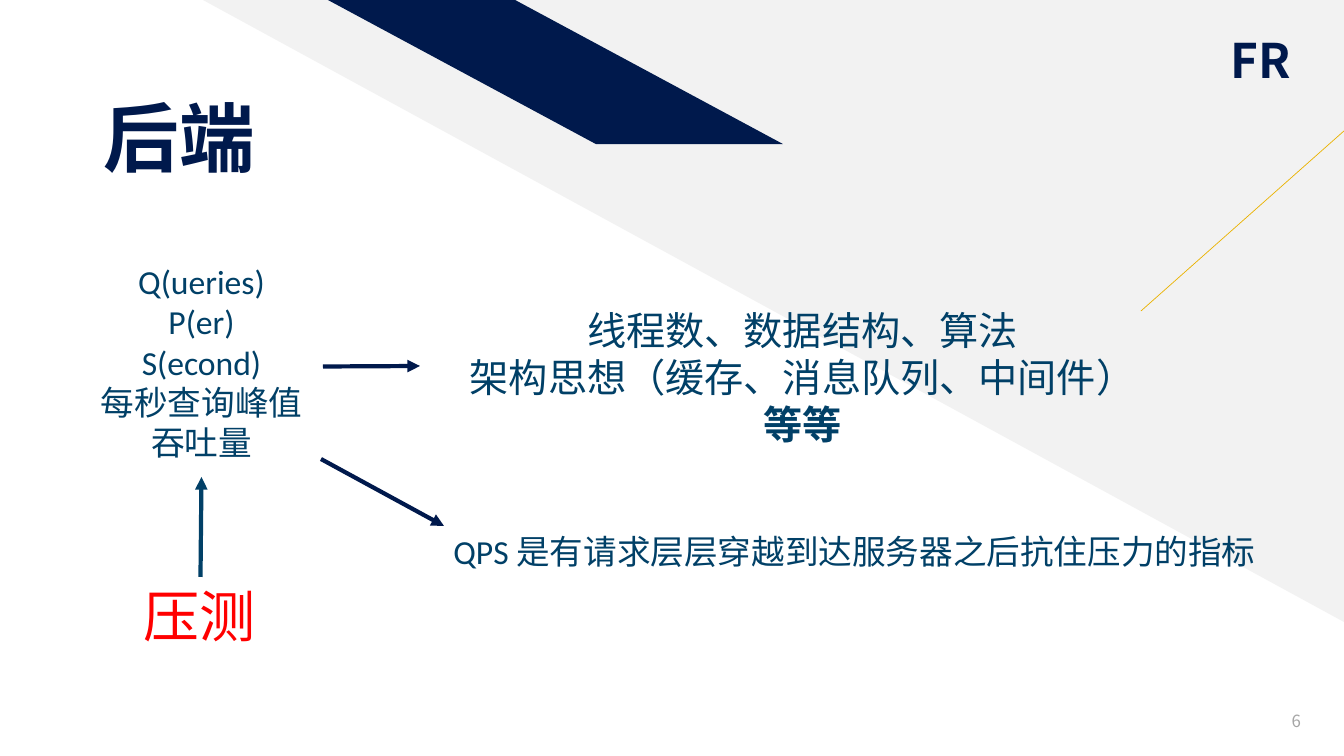
from lxml.etree import SubElement
from pptx import Presentation
from pptx.dml.color import RGBColor
from pptx.enum.shapes import MSO_CONNECTOR, MSO_SHAPE
from pptx.enum.text import MSO_ANCHOR, PP_ALIGN
from pptx.oxml.ns import qn
from pptx.util import Pt

PX = 9071.43  # EMU in one px
NAVY = RGBColor(0x00, 0x19, 0x4C)
TEAL = RGBColor(0x01, 0x40, 0x67)
RED = RGBColor(0xFF, 0x00, 0x00)
GOLD = RGBColor(0xEA, 0xB2, 0x00)
PALE = RGBColor(0xF2, 0xF2, 0xF2)
GREY = RGBColor(0xA5, 0xA5, 0xA5)
LATIN, HAN = "Calibri", "Noto Sans CJK SC"
LEFT, CENTER, RIGHT = PP_ALIGN.LEFT, PP_ALIGN.CENTER, PP_ALIGN.RIGHT

# Content: text, box in px, size, font, colour, bold, alignment, wrap
# "\n" starts a paragraph, "\v" breaks a line
TEXTS = {
    "brand": ("FR", (1221, 26, 81, 68), 34, HAN, NAVY, True, LEFT, False),
    "title": ("后端", (80, 80, 199, 119), 54, HAN, NAVY, True, CENTER, True),
    "page": ("6", (1229, 701, 82, 40), 12, HAN, GREY, False, RIGHT, True),
    "throughput": ("Q(ueries)\nP(er)\nS(econd)\n每秒查询峰值\v吞吐量",
                   (80, 256, 243, 221), 24, LATIN, TEAL, False, CENTER, True),
    "factors": ("线程数、数据结构、算法\n架构思想（缓存、消息队列、中间件）\n等等",
                (456, 301, 693, 152), 28, LATIN, TEAL, False, CENTER, False),
    "stress_test": ("压测", (134, 577, 133, 78), 40, LATIN, RED, False, LEFT, False),
    "meaning": ("QPS 是有请求层层穿越到达服务器之后抗住压力的指标",
                (439, 526, 831, 50), 24, LATIN, TEAL, False, CENTER, False),
}


def emu(*lengths):
    return [round(length * PX) for length in lengths]


prs = Presentation()
prs.slide_width, prs.slide_height = emu(1344, 756)
slide = prs.slides.add_slide(prs.slide_layouts[6])
shapes = slide.shapes


def add_band(preset, box, color):
    band = shapes.add_shape(preset, *emu(*box))
    band.shadow.inherit = False
    band.fill.solid()
    band.fill.fore_color.rgb = color
    band.line.fill.background()
    return band


def add_text(text, box, size, font, color, bold, align, wrap):
    label = shapes.add_textbox(*emu(*box))
    frame = label.text_frame
    frame.word_wrap = wrap
    frame.text = text
    for paragraph in frame.paragraphs:
        paragraph.alignment = align
        for run in paragraph.runs:
            run.font.size = Pt(size)
            run.font.name = font
            run.font.bold = bold
            run.font.color.rgb = color
            SubElement(run.font._element, qn("a:ea"), typeface=HAN)
    return label


def add_line(start, end, color, width, arrow=True):
    line = shapes.add_connector(MSO_CONNECTOR.STRAIGHT, *emu(*start, *end))
    line.line.color.rgb = color
    line.line.width = Pt(width)
    if arrow:
        SubElement(line.line._get_or_add_ln(), qn("a:tailEnd"), type="triangle")
    SubElement(line._element.spPr, qn("a:effectLst"))
    return line


# Background: pale corner, navy band, gold line
corner = add_band(MSO_SHAPE.RIGHT_TRIANGLE, (203, 0, 1141, 622), PALE)
corner.rotation = 180
stripe = add_band(MSO_SHAPE.PARALLELOGRAM, (328, 0, 455, 144), NAVY)
stripe.adjustments[0] = 1.86
stripe._element.spPr.xfrm.set("flipH", "1")
add_line((1141, 311), (1344, 131), GOLD, 0.5, arrow=False)

# Texts
labels = {part: add_text(*content) for part, content in TEXTS.items()}
title_frame = labels["title"].text_frame
title_frame.margin_bottom = 0
title_frame.paragraphs[0].line_spacing = 0.9
for part in ("title", "page"):
    labels[part].text_frame.vertical_anchor = MSO_ANCHOR.MIDDLE
labels["factors"].text_frame.paragraphs[-1].runs[0].font.bold = True

# Arrows
to_factors = add_line((323, 366), (420, 366), NAVY, 3)
to_factors.begin_connect(labels["throughput"], 3)
to_throughput = add_line((201, 577), (201, 476), TEAL, 3)
to_throughput.begin_connect(labels["stress_test"], 0)
to_throughput.end_connect(labels["throughput"], 2)
add_line((321, 459), (444, 526), NAVY, 3)

prs.save("out.pptx")
